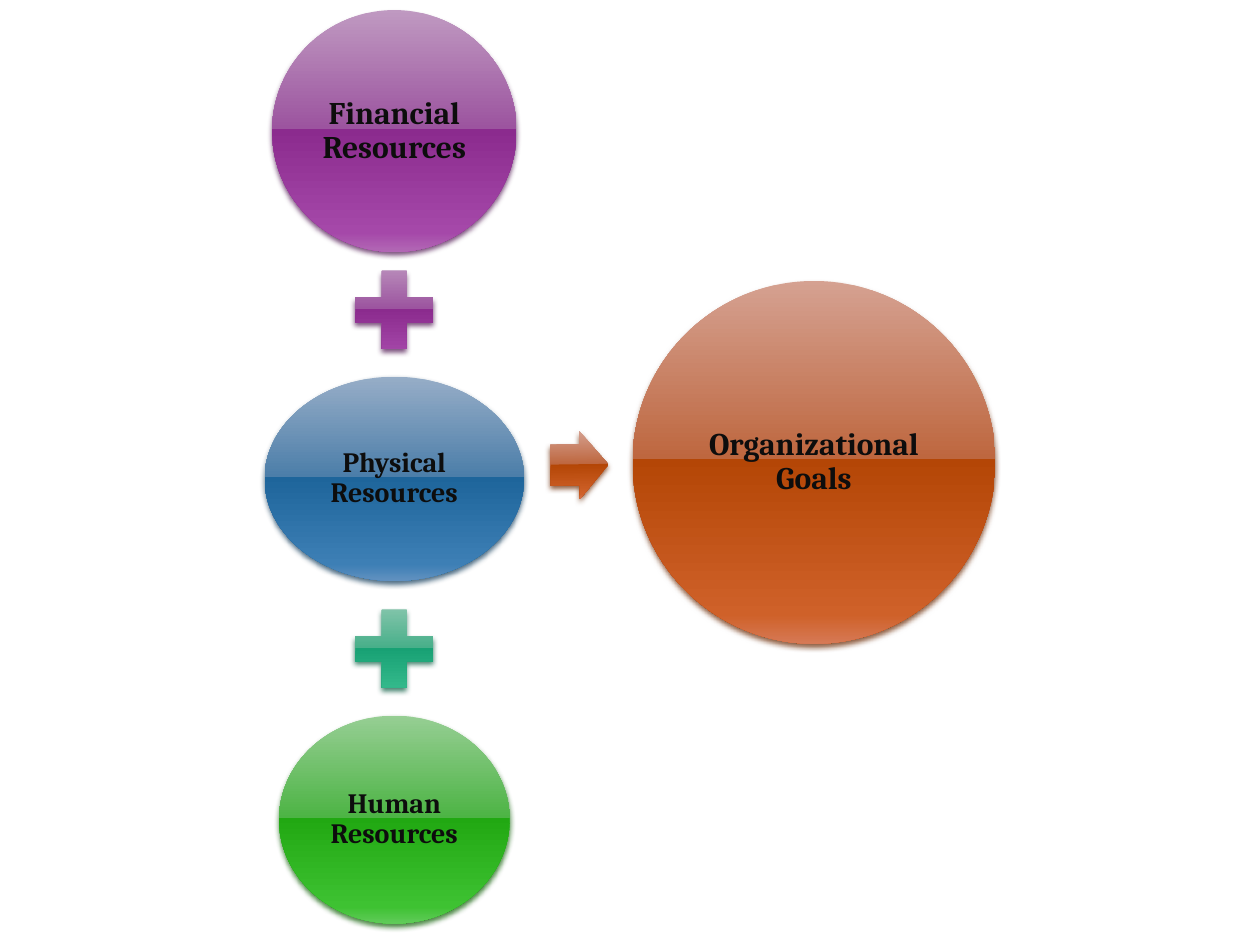
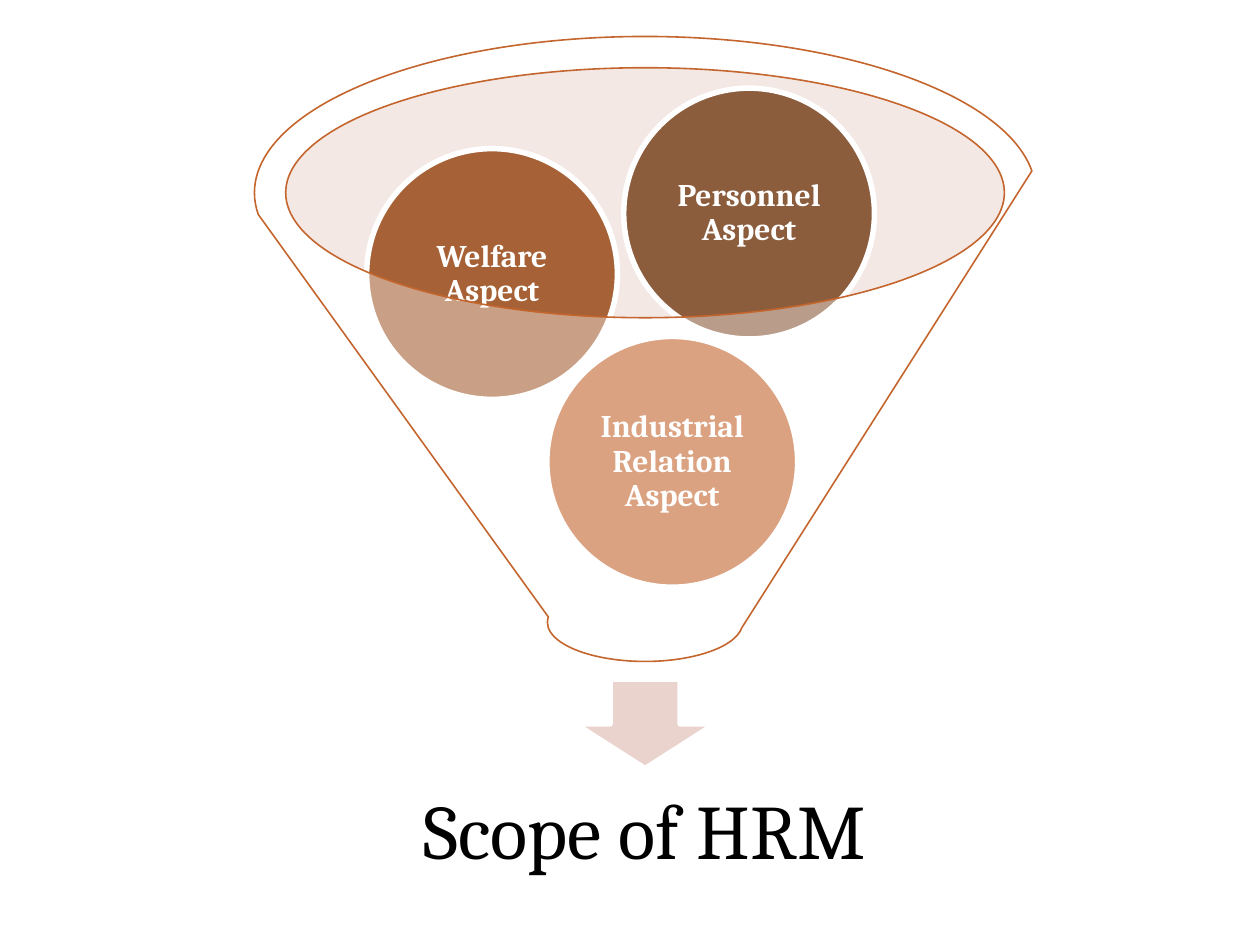
from lxml import etree
from pptx import Presentation
from pptx.dml.color import RGBColor
from pptx.enum.shapes import MSO_SHAPE
from pptx.enum.text import MSO_ANCHOR, MSO_AUTO_SIZE, PP_ALIGN
from pptx.oxml.ns import qn
from pptx.util import Inches, Pt

ELLIPSE, PLUS, FUNNEL = MSO_SHAPE.OVAL, MSO_SHAPE.MATH_PLUS, MSO_SHAPE.FUNNEL
RIGHT_ARROW, DOWN_ARROW = MSO_SHAPE.RIGHT_ARROW, MSO_SHAPE.DOWN_ARROW
MIDDLE, CENTER, NO_FIT = MSO_ANCHOR.MIDDLE, PP_ALIGN.CENTER, MSO_AUTO_SIZE.NONE

WIDTH, HEIGHT = Inches(10), Inches(7.5)
COLUMNS, ROWS = 100, 75
TITLE_ONLY, BLANK = 5, 6
FONT = "Cambria"

BLACK = RGBColor(0x00, 0x00, 0x00)
INK = RGBColor(0x0D, 0x0D, 0x0D)
WHITE = RGBColor(0xFF, 0xFF, 0xFF)
ORANGE = RGBColor(0xC4, 0x65, 0x2D)
RUST = RGBColor(0xA6, 0x62, 0x36)
BROWN = RGBColor(0x8B, 0x5D, 0x3D)
ROSE = RGBColor(0xE4, 0xC6, 0xBE)
PALE_ROSE = RGBColor(0xEA, 0xD3, 0xCD)


def palette(*codes):
    return [RGBColor.from_string(code) for code in codes]


# Five gloss colours from top to bottom, then the shadow colour
GLOSS_STOPS = (0, 49, 49, 92, 100)
PURPLE = palette("BF99C1", "9C549F", "8B2B8E", "A548A9", "B268B5", "633065")
BLUE = palette("96ADC7", "4C7EA9", "1E659B", "3D7FB5", "6191C0", "294F6B")
TEAL = palette("94CBB4", "48AF8A", "18A174", "37BC8E", "5DC69D", "266F57")
GREEN = palette("96CE93", "4DB445", "21A812", "3EC232", "61CB5A", "2A7222")
COPPER = palette("D5A191", "BE673F", "B44606", "CF6129", "D67955", "793E1C")


def add_color(parent, color, alpha=None):
    node = etree.SubElement(parent, qn("a:srgbClr"), val=str(color))
    if alpha is not None:
        etree.SubElement(node, qn("a:alpha"), val=str(alpha * 1000))


class Deck:
    """Style of the diagrams and the slide being drawn; places are grid centres."""

    def __init__(self):
        self.presentation = Presentation()
        self.presentation.slide_width = WIDTH
        self.presentation.slide_height = HEIGHT
        self.slide = None

    def new_slide(self, layout):
        layouts = self.presentation.slide_layouts
        self.slide = self.presentation.slides.add_slide(layouts[layout])

    def frame(self, column, row, columns, rows):
        x, y = WIDTH / COLUMNS, HEIGHT / ROWS
        return (round((column - columns / 2) * x), round((row - rows / 2) * y),
                round(columns * x), round(rows * y))

    def shape(self, kind, *place):
        shape = self.slide.shapes.add_shape(kind, *self.frame(*place))
        shape.shadow.inherit = False
        shape.line.fill.background()
        return shape

    def flat(self, kind, *place, fill, alpha=None, line=None, weight=3.15):
        shape = self.shape(kind, *place)
        shape.fill.solid()
        shape.fill.fore_color.rgb = fill
        if alpha is not None:
            color = shape._element.spPr.find(qn("a:solidFill"))[0]
            etree.SubElement(color, qn("a:alpha"), val=str(alpha * 1000))
        if line is not None:
            shape.line.color.rgb = line
            shape.line.width = Pt(weight)
        return shape

    def glossy(self, kind, *place, colors):
        """Add a shape with a two-tone sheen and a soft shadow below it."""
        shape = self.shape(kind, *place)
        shape.fill.gradient()
        shape.fill.gradient_angle = 270
        properties = shape._element.spPr
        stops = properties.find(".//" + qn("a:gsLst"))
        for stop in list(stops):
            stops.remove(stop)
        for position, color in zip(GLOSS_STOPS, colors):
            stop = etree.SubElement(stops, qn("a:gs"), pos=str(position * 1000))
            add_color(stop, color)
        shadow = etree.SubElement(
            properties.find(qn("a:effectLst")), qn("a:outerShdw"),
            blurRad=str(Pt(3.1)), dist=str(Pt(2)), dir="5400000", rotWithShape="0")
        add_color(shadow, colors[-1], 83)
        return shape

    def label(self, shape, words, size, color, bold=True, inset=0.03):
        text = shape.text_frame
        text.text = words
        text.word_wrap = True
        text.auto_size = NO_FIT
        text.vertical_anchor = MIDDLE
        text.margin_left = text.margin_right = Inches(inset)
        text.margin_top = text.margin_bottom = Inches(inset)
        paragraph = text.paragraphs[0]
        paragraph.alignment = CENTER
        paragraph.line_spacing = 0.9
        font = paragraph.runs[0].font
        font.name, font.size, font.bold = FONT, Pt(size), bold
        font.color.rgb = color

    def title(self, words, *place):
        title = self.slide.shapes.title
        title.left, title.top, title.width, title.height = self.frame(*place)
        self.label(title, words, 44, BLACK, bold=False, inset=0.34)


def draw_resources(deck):
    deck.new_slide(BLANK)
    axis = 31.3
    resources = [
        ("Financial Resources", axis, 10.4, 19.4, 19.2, 18, PURPLE),
        ("Physical Resources", axis, 38, 20.6, 16.2, 16, BLUE),
        ("Human Resources", axis, 65.05, 18.3, 16.5, 16, GREEN),
        ("Organizational Goals", 64.6, 36.7, 28.8, 28.8, 18, COPPER),
    ]
    for words, column, row, columns, rows, size, colors in resources:
        circle = deck.glossy(ELLIPSE, column, row, columns, rows, colors=colors)
        deck.label(circle, words, size, INK)
    for row, colors in ((24.6, PURPLE), (51.5, TEAL)):
        deck.glossy(PLUS, axis, row, 8.4, 8.4, colors=colors)
    arrow = deck.glossy(RIGHT_ARROW, 46, 36.9, 4.6, 5.4, colors=COPPER)
    arrow.adjustments[0] = 0.6
    arrow.rotation = 359.3


def draw_scope(deck):
    deck.new_slide(TITLE_ONLY)
    axis = 51.2
    deck.title("Scope of HRM", axis, 66.25, 53.1, 13.3)
    deck.flat(ELLIPSE, axis, 15.3, 57.1, 19.8, fill=ROSE, alpha=40)
    deck.flat(DOWN_ARROW, axis, 57.45, 11.1, 7.1, fill=PALE_ROSE, line=WHITE)
    aspects = [
        ("Industrial Relation Aspect", 53.35, 36.65, ORANGE),
        ("Welfare Aspect", 39.05, 21.75, RUST),
        ("Personnel Aspect", 59.45, 16.95, BROWN),
    ]
    for words, column, row, color in aspects:
        circle = deck.flat(ELLIPSE, column, row, 19.9, 19.9, fill=color, line=WHITE)
        deck.label(circle, words, 18, WHITE)
    deck.flat(FUNNEL, axis, 27.7, 62, 49.6, fill=WHITE, alpha=40,
              line=ORANGE, weight=0.9)


def main():
    deck = Deck()
    draw_resources(deck)
    draw_scope(deck)
    deck.presentation.save("out.pptx")


if __name__ == "__main__":
    main()
